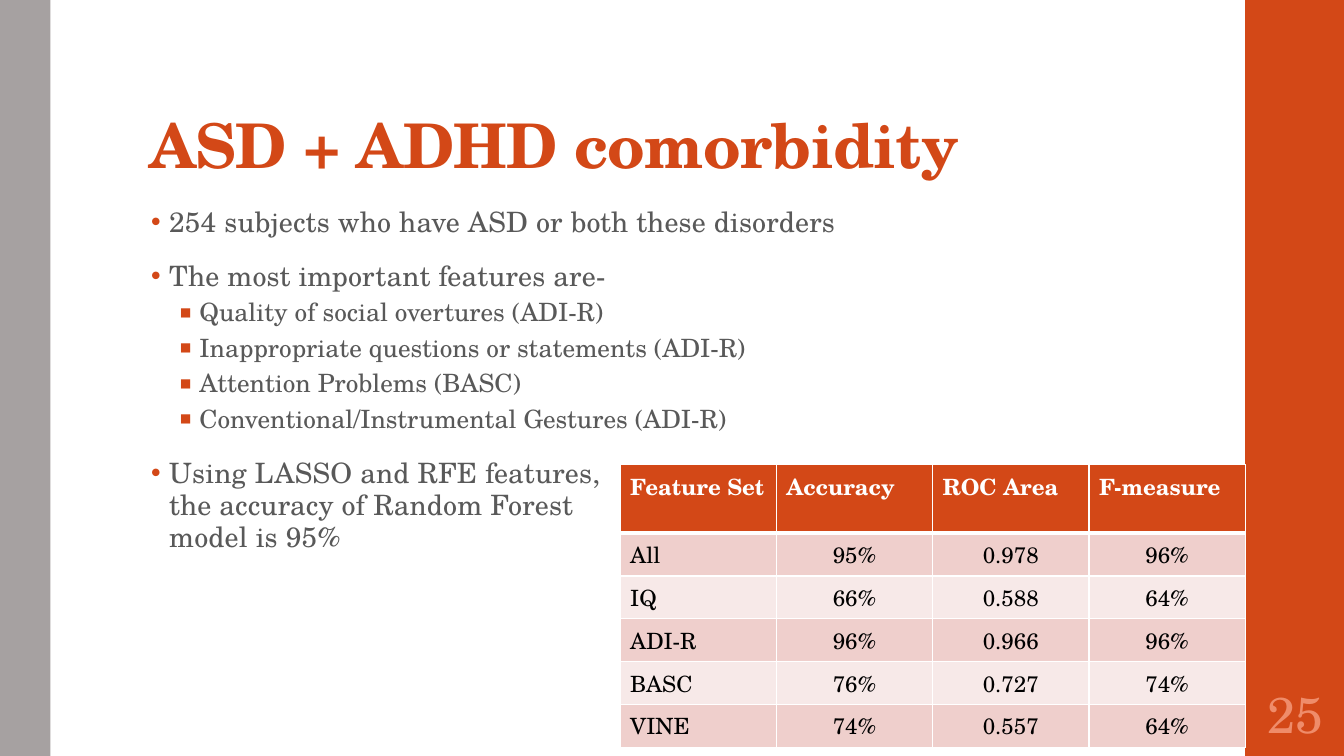
from lxml import etree
from pptx import Presentation
from pptx.dml.color import RGBColor
from pptx.enum.shapes import MSO_SHAPE
from pptx.enum.text import MSO_ANCHOR, MSO_AUTO_SIZE, PP_ALIGN
from pptx.oxml.ns import qn
from pptx.util import Inches, Pt

RECTANGLE = MSO_SHAPE.RECTANGLE
TOP, MIDDLE, BOTTOM = MSO_ANCHOR.TOP, MSO_ANCHOR.MIDDLE, MSO_ANCHOR.BOTTOM
LEFT, CENTER = PP_ALIGN.LEFT, PP_ALIGN.CENTER
NO_FIT = MSO_AUTO_SIZE.NONE
FONT = "TeX Gyre Schola"
COLORS = {
    "orange": "D34817", "gray": "A6A1A1", "text": "595959", "white": "FFFFFF",
    "black": "000000", "number": "EF8C6A", "band": "EFCFCC", "pale": "F7E9E8",
}
WIDTH, HEIGHT = 13.33, 7.5
SIDE = 12.35
MARGIN = 1.38


def write(para, *lines, size, color, bold=False, align=LEFT, tracking=0):
    para.alignment = align
    for index, line in enumerate(lines):
        if index:
            para.add_line_break()
        span = para.add_run()
        span.text = line
        span.font.name = FONT
        span.font.size = Pt(size)
        span.font.bold = bold
        span.font.color.rgb = RGBColor.from_string(COLORS[color])
        span._r.get_or_add_rPr().set("spc", str(round(tracking * 100)))


def add_child(parent, tag, **attributes):
    child = etree.SubElement(parent, qn(tag))
    for name, value in attributes.items():
        child.set(name, str(value))
    return child


deck = Presentation()
deck.slide_width, deck.slide_height = Inches(WIDTH), Inches(HEIGHT)
page = deck.slides.add_slide(deck.slide_layouts[5])

for left, width, color in [(SIDE, WIDTH - SIDE, "orange"), (0, 0.5, "gray")]:
    bar = page.shapes.add_shape(RECTANGLE, Inches(left), 0, Inches(width), Inches(HEIGHT))
    bar.shadow.inherit = False
    bar.fill.solid()
    bar.fill.fore_color.rgb = RGBColor.from_string(COLORS[color])
    bar.line.fill.background()

title = page.shapes.title
title.left, title.top = Inches(MARGIN), Inches(0.32)
title.width, title.height = Inches(10.6), Inches(1.53)
frame = title.text_frame
frame.auto_size, frame.word_wrap, frame.vertical_anchor = NO_FIT, True, BOTTOM
frame.margin_left = frame.margin_right = Inches(0.1)
frame.margin_top, frame.margin_bottom = Inches(0.03), Inches(0.05)
frame.paragraphs[0].line_spacing = 0.9
write(frame.paragraphs[0], "ASD + ADHD comorbidity", size=44, color="orange",
      bold=True, tracking=-0.5)

LEVELS = [
    {"size": 20, "tracking": 0.1, "indent": 0.2, "line": 0.95, "before": 14, "after": 2,
     "bullet": "•", "bullet_size": 80},
    {"size": 18, "tracking": 0, "indent": 0.5, "line": 0.9, "before": 3, "after": 3,
     "bullet": "▪", "bullet_size": 100},
]
POINTS = [
    (0, ["254 subjects who have ASD or both these disorders"]),
    (0, ["The most important features are-"]),
    (1, ["Quality of social overtures (ADI-R)"]),
    (1, ["Inappropriate questions or statements (ADI-R)"]),
    (1, ["Attention Problems (BASC)"]),
    (1, ["Conventional/Instrumental Gestures (ADI-R)"]),
    (0, ["Using LASSO and RFE features,", "the accuracy of Random Forest", "model is 95%"]),
]
body = page.shapes.add_textbox(Inches(MARGIN), Inches(2), Inches(9.4), Inches(4.76))
frame = body.text_frame
frame.word_wrap, frame.vertical_anchor = True, TOP
for index, (depth, lines) in enumerate(POINTS):
    level = LEVELS[depth]
    para = frame.add_paragraph() if index else frame.paragraphs[0]
    para.level = depth
    para.line_spacing = level["line"]
    para.space_before, para.space_after = Pt(level["before"]), Pt(level["after"])
    write(para, *lines, size=level["size"], color="text", tracking=level["tracking"])
    properties = para._p.get_or_add_pPr()
    properties.set("marL", str(Inches(level["indent"])))
    properties.set("indent", str(Inches(-0.2)))
    add_child(add_child(properties, "a:buClr"), "a:srgbClr", val=COLORS["orange"])
    add_child(properties, "a:buSzPct", val=level["bullet_size"] * 1000)
    add_child(properties, "a:buFont", typeface=FONT)
    add_child(properties, "a:buChar", char=level["bullet"])

ROWS = [
    ("Feature Set", "Accuracy", "ROC Area", "F-measure"),
    ("All", "95%", "0.978", "96%"),
    ("IQ", "66%", "0.588", "64%"),
    ("ADI-R", "96%", "0.966", "96%"),
    ("BASC", "76%", "0.727", "74%"),
    ("VINE", "74%", "0.557", "64%"),
]
COLUMN, HEADER, ROW = 1.55, 0.68, 0.425
table = page.shapes.add_table(
    len(ROWS), len(ROWS[0]), Inches(SIDE - 4 * COLUMN), Inches(4.61),
    Inches(4 * COLUMN), Inches(HEADER + 5 * ROW)).table
for column in table.columns:
    column.width = Inches(COLUMN)
for r, values in enumerate(ROWS):
    header = r == 0
    table.rows[r].height = Inches(HEADER if header else ROW)
    fill = "orange" if header else ("band" if r % 2 else "pale")
    for c, value in enumerate(values):
        cell = table.cell(r, c)
        cell.fill.solid()
        cell.fill.fore_color.rgb = RGBColor.from_string(COLORS[fill])
        write(cell.text_frame.paragraphs[0], value, size=16, bold=header,
              color="white" if header else "black",
              align=LEFT if header or c == 0 else CENTER)
        properties = cell._tc.get_or_add_tcPr()
        for position, side in enumerate(["a:lnL", "a:lnR", "a:lnT", "a:lnB"]):
            thick = (header and side == "a:lnB") or (r == 1 and side == "a:lnT")
            border = add_child(properties, side, w=Pt(3 if thick else 1))
            add_child(add_child(border, "a:solidFill"), "a:srgbClr", val=COLORS["white"])
            properties.insert(position, border)

number = page.shapes.add_textbox(Inches(SIDE), Inches(6.75), Inches(1), Inches(0.65))
frame = number.text_frame
frame.word_wrap, frame.vertical_anchor = True, MIDDLE
frame.margin_left = frame.margin_right = Inches(0.05)
write(frame.paragraphs[0], "25", size=36, color="number", align=CENTER)

deck.save("out.pptx")
